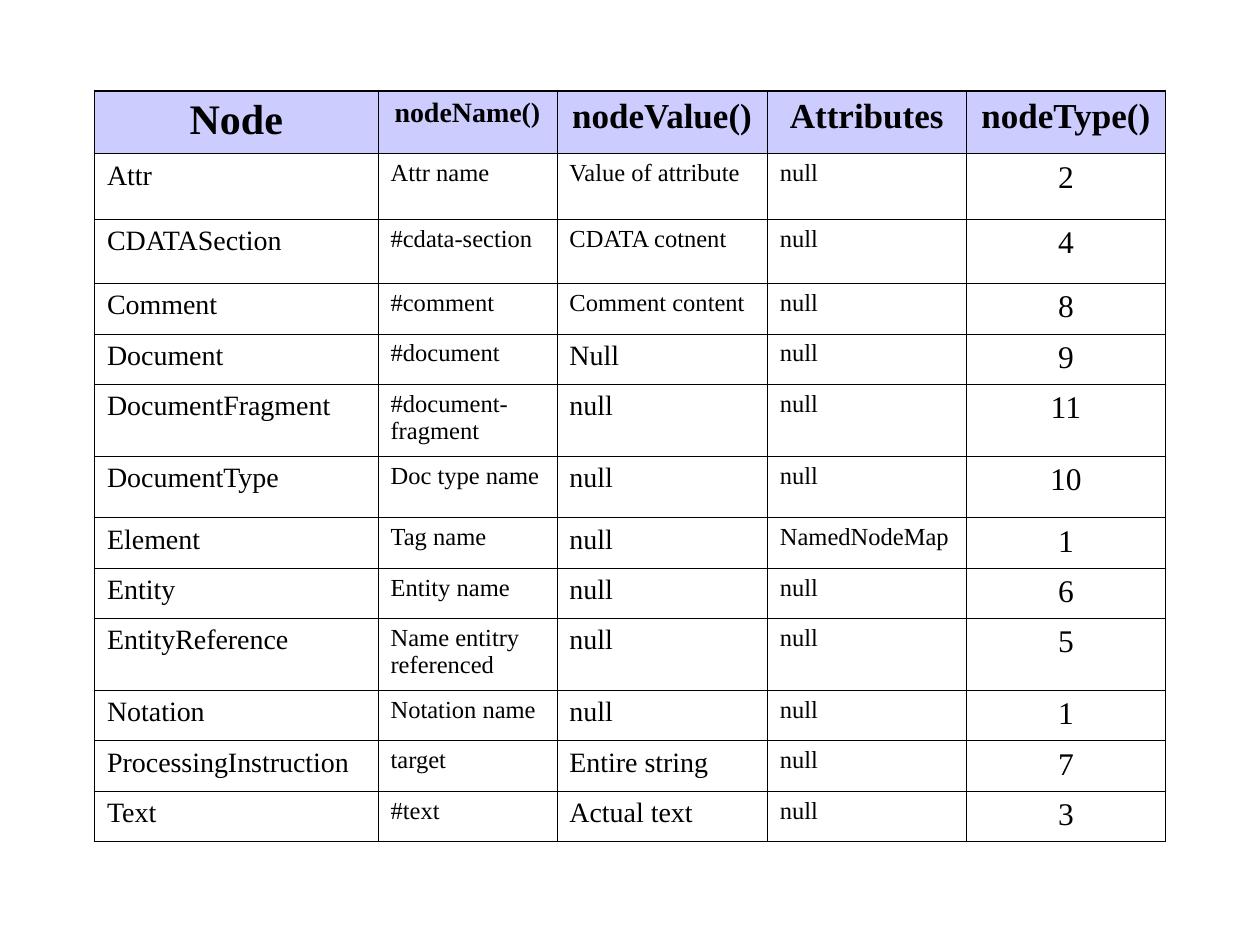
"""Build a slide with a table of DOM node types and their properties."""
import pptx
import pptx.dml.color
import pptx.enum.text
import pptx.oxml
import pptx.oxml.ns
import pptx.util
from pptx.util import Inches

BLACK = pptx.dml.color.RGBColor(0x00, 0x00, 0x00)
LAVENDER = pptx.dml.color.RGBColor(0xCC, 0xCC, 0xFF)
FONT = "Times New Roman"
THIN, THICK = 0.45, 1.08

ROWS = [
    ("Node", "nodeName()", "nodeValue()", "Attributes", "nodeType()"),
    ("Attr", "Attr name", "Value of attribute", "null", "2"),
    ("CDATASection", "#cdata-section", "CDATA cotnent", "null", "4"),
    ("Comment", "#comment", "Comment content", "null", "8"),
    ("Document", "#document", "Null", "null", "9"),
    ("DocumentFragment", "#document-fragment", "null", "null", "11"),
    ("DocumentType", "Doc type name", "null", "null", "10"),
    ("Element", "Tag name", "null", "NamedNodeMap", "1"),
    ("Entity", "Entity name", "null", "null", "6"),
    ("EntityReference", "Name entitry referenced", "null", "null", "5"),
    ("Notation", "Notation name", "null", "null", "1"),
    ("ProcessingInstruction", "target", "Entire string", "null", "7"),
    ("Text", "#text", "Actual text", "null", "3"),
]
WIDTHS = [2.25, 1.42, 1.67, 1.58, 1.58]
HEIGHTS = [0.5, 0.52, 0.51, 0.4, 0.4, 0.57, 0.49, 0.4, 0.4, 0.57, 0.4, 0.4, 0.4]
HEADER_SIZES = [24, 16, 20, 20, 20]
SHORT_SIZES = [16, 14, 14, 14, 18]
BODY_SIZES = [16, 14, 16, 14, 18]
FIRST_BODY_ROW = ROWS.index(("Document", "#document", "Null", "null", "9"))


def add_border(cell, side, width):
    tc_pr = cell._tc.get_or_add_tcPr()
    tc_pr.append(pptx.oxml.parse_xml(
        f'<a:ln{side} {pptx.oxml.ns.nsdecls("a")} w="{pptx.util.Pt(width)}">'
        f'<a:solidFill><a:srgbClr val="{BLACK}"/></a:solidFill></a:ln{side}>'))


prs = pptx.Presentation()
prs.slide_width, prs.slide_height = Inches(10), Inches(7.5)
s = prs.slides.add_slide(prs.slide_layouts[6])

table = s.shapes.add_table(
    len(ROWS), len(WIDTHS), Inches(0.75), Inches(0.72),
    Inches(sum(WIDTHS)), Inches(sum(HEIGHTS))).table
table.horz_banding = False
for column, width in zip(table.columns, WIDTHS):
    column.width = Inches(width)
for row, height in zip(table.rows, HEIGHTS):
    row.height = Inches(height)

last_row, last_col = len(ROWS) - 1, len(WIDTHS) - 1
for i, texts in enumerate(ROWS):
    header = i == 0
    if header:
        sizes = HEADER_SIZES
    else:
        sizes = SHORT_SIZES if i < FIRST_BODY_ROW else BODY_SIZES
    for j, text in enumerate(texts):
        cell = table.cell(i, j)
        outer = {"L": j == 0, "R": j == last_col, "T": header, "B": i == last_row}
        for side, on_edge in outer.items():
            add_border(cell, side, THICK if on_edge else THIN)
        if header:
            cell.fill.solid()
            cell.fill.fore_color.rgb = LAVENDER
        else:
            cell.fill.background()
        cell.text = text
        p = cell.text_frame.paragraphs[0]
        if header or j == last_col:
            p.alignment = pptx.enum.text.PP_ALIGN.CENTER
        p.font.name = FONT
        p.font.size = pptx.util.Pt(sizes[j])
        p.font.bold = header
        p.font.color.rgb = BLACK

prs.save("out.pptx")
